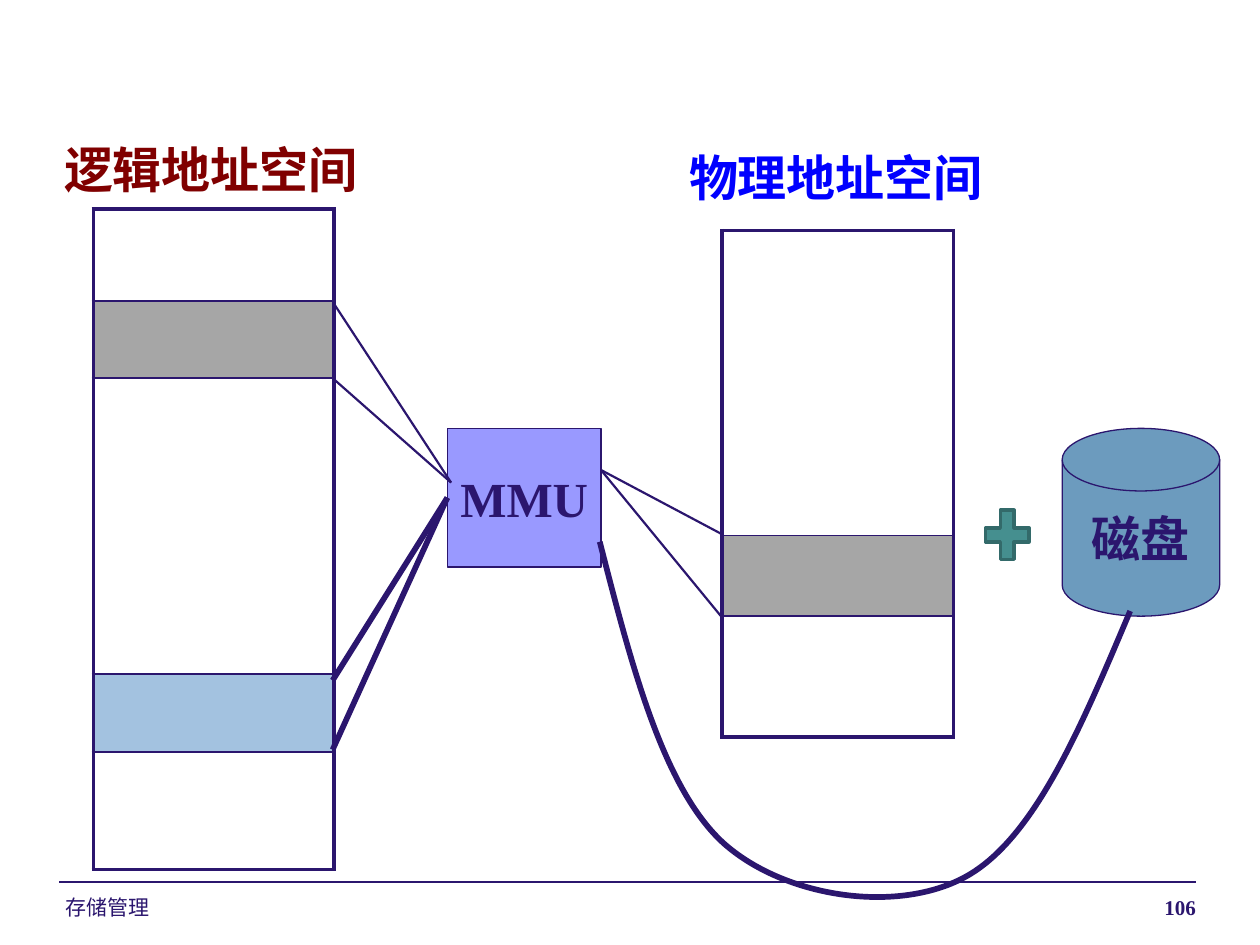
from dataclasses import dataclass

from lxml import etree
from pptx import Presentation
from pptx.dml.color import RGBColor
from pptx.enum.shapes import MSO_CONNECTOR, MSO_SHAPE
from pptx.enum.text import MSO_ANCHOR, PP_ALIGN
from pptx.oxml.ns import qn
from pptx.util import Pt

STRAIGHT = MSO_CONNECTOR.STRAIGHT
RECTANGLE = MSO_SHAPE.RECTANGLE
DISK = MSO_SHAPE.FLOWCHART_MAGNETIC_DISK
PLUS = MSO_SHAPE.MATH_PLUS
LEFT, CENTER, RIGHT = PP_ALIGN.LEFT, PP_ALIGN.CENTER, PP_ALIGN.RIGHT
TOP, MIDDLE = MSO_ANCHOR.TOP, MSO_ANCHOR.MIDDLE

EMU_PER_PX = 9144
BLANK_LAYOUT = 6
LEFT_SIDE = 1
INK = "2B166E"
GRAY = "A6A6A6"
SERIF = "Times New Roman"
THICK, THIN = 2.25, 1


@dataclass(frozen=True)
class Label:
    text: str
    frame: tuple[int, int, int, int]
    size: int = 28
    color: str = INK
    font: str = SERIF
    bold: bool = True
    align: PP_ALIGN = LEFT
    wrap: bool = False


@dataclass(frozen=True)
class Node:
    kind: MSO_SHAPE
    frame: tuple[int, int, int, int]
    fill: str
    line: str = INK
    weight: float = 0.75
    text: str = ""


@dataclass(frozen=True)
class AddressSpace:
    left: int
    top: int
    width: int
    rows: tuple[tuple[int, str], ...]


@dataclass(frozen=True)
class Link:
    start: tuple[int, int]
    end: tuple[int, int]
    weight: float = 1.25
    joins_mmu: bool = False


LABELS = (
    Label("存储管理", (42, 705, 233, 24), 12, font="Arial", bold=False, wrap=True),
    Label("106", (642, 705, 317, 24), 12, align=RIGHT, wrap=True),
    Label("逻辑地址空间", (41, 106, 255, 57), color="800000"),
    Label("物理地址空间", (537, 112, 255, 57), color="0000FF"),
)
SPACES = (
    AddressSpace(74, 166, 191, ((73, ""), (61, GRAY), (235, ""), (62, "A3C2E0"), (93, ""))),
    AddressSpace(573, 183, 184, ((242, ""), (64, GRAY), (96, ""))),
)
MMU = Node(RECTANGLE, (355, 340, 122, 110), "9999FF", text="MMU")
NODES = (
    Node(DISK, (843, 340, 125, 149), "6C9BBE", text="磁盘"),
    Node(PLUS, (776, 398, 47, 53), "458F8F", "336A6A", 2),
)
FOOTER_RULE = Link((47, 700), (949, 700), 0.75)
LINKS = (
    Link((265, 241), (358, 383)),
    Link((265, 301), (358, 383)),
    Link((477, 373), (573, 424)),
    Link((477, 373), (573, 490)),
    Link((264, 540), (355, 395), 3.25, True),
    Link((264, 595), (355, 395), 3.25, True),
)
SWAP_CURVE = (
    (476, 430), (501, 527), (526, 625), (574, 669), (623, 713),
    (714, 726), (768, 695), (822, 664), (859, 575), (897, 485),
)


def px(length: int) -> int:
    return length * EMU_PER_PX


def rgb(color: str) -> RGBColor:
    return RGBColor.from_string(color)


def style_line(line, color: str, weight: float) -> None:
    line.color.rgb = rgb(color)
    line.width = Pt(weight)


def write(frame, label: Label) -> None:
    frame.word_wrap = label.wrap
    para = frame.paragraphs[0]
    para.alignment = label.align
    span = para.add_run()
    span.text = label.text
    span.font.name = label.font
    span.font.size = Pt(label.size)
    span.font.bold = label.bold
    span.font.color.rgb = rgb(label.color)


def draw_label(page, label: Label) -> None:
    box = page.shapes.add_textbox(*map(px, label.frame))
    box.text_frame.vertical_anchor = TOP
    write(box.text_frame, label)


def draw_node(page, node: Node):
    shape = page.shapes.add_shape(node.kind, *map(px, node.frame))
    shape.shadow.inherit = False
    shape.fill.solid()
    shape.fill.fore_color.rgb = rgb(node.fill)
    style_line(shape.line, node.line, node.weight)
    if node.text:
        shape.text_frame.vertical_anchor = MIDDLE
        write(shape.text_frame, Label(node.text, node.frame, align=CENTER))
    return shape


def draw_border(cell, side: str, weight: float) -> None:
    properties = cell._tc.get_or_add_tcPr()
    border = etree.SubElement(properties, qn(f"a:{side}"), w=str(Pt(weight)))
    fill = etree.SubElement(border, qn("a:solidFill"))
    etree.SubElement(fill, qn("a:srgbClr"), val=INK)


def draw_space(page, space: AddressSpace) -> None:
    height = sum(row_height for row_height, _ in space.rows)
    table = page.shapes.add_table(
        len(space.rows), 1, px(space.left), px(space.top), px(space.width), px(height)
    ).table
    table.first_row = False
    table.horz_banding = False
    last = len(space.rows) - 1
    for index, (row_height, color) in enumerate(space.rows):
        table.rows[index].height = px(row_height)
        cell = table.cell(index, 0)
        draw_border(cell, "lnL", THICK)
        draw_border(cell, "lnR", THICK)
        draw_border(cell, "lnT", THICK if index == 0 else THIN)
        draw_border(cell, "lnB", THICK if index == last else THIN)
        if color:
            cell.fill.solid()
            cell.fill.fore_color.rgb = rgb(color)
        else:
            cell.fill.background()


def draw_link(page, link: Link, mmu=None) -> None:
    connector = page.shapes.add_connector(STRAIGHT, *map(px, link.start + link.end))
    style_line(connector.line, INK, link.weight)
    etree.SubElement(connector._element.spPr, qn("a:effectLst"))
    if link.joins_mmu:
        connector.end_connect(mmu, LEFT_SIDE)


def draw_curve(page, points: tuple[tuple[int, int], ...], weight: float) -> None:
    builder = page.shapes.build_freeform(*points[0], scale=EMU_PER_PX)
    builder.add_line_segments(points[1:], close=False)
    shape = builder.convert_to_shape()
    shape.shadow.inherit = False
    shape.fill.background()
    style_line(shape.line, INK, weight)
    segments = list(shape._element.iter(qn("a:lnTo")))
    for first in range(0, len(segments), 3):
        curve = etree.Element(qn("a:cubicBezTo"))
        segments[first].addprevious(curve)
        for segment in segments[first:first + 3]:
            curve.append(segment[0])
            segment.getparent().remove(segment)


def main() -> None:
    deck = Presentation()
    deck.slide_width, deck.slide_height = px(1000), px(750)
    page = deck.slides.add_slide(deck.slide_layouts[BLANK_LAYOUT])
    draw_link(page, FOOTER_RULE)
    for space in SPACES:
        draw_space(page, space)
    mmu = draw_node(page, MMU)
    for node in NODES:
        draw_node(page, node)
    for link in LINKS:
        draw_link(page, link, mmu)
    draw_curve(page, SWAP_CURVE, 3.25)
    for label in LABELS:
        draw_label(page, label)
    deck.save("out.pptx")


if __name__ == "__main__":
    main()
